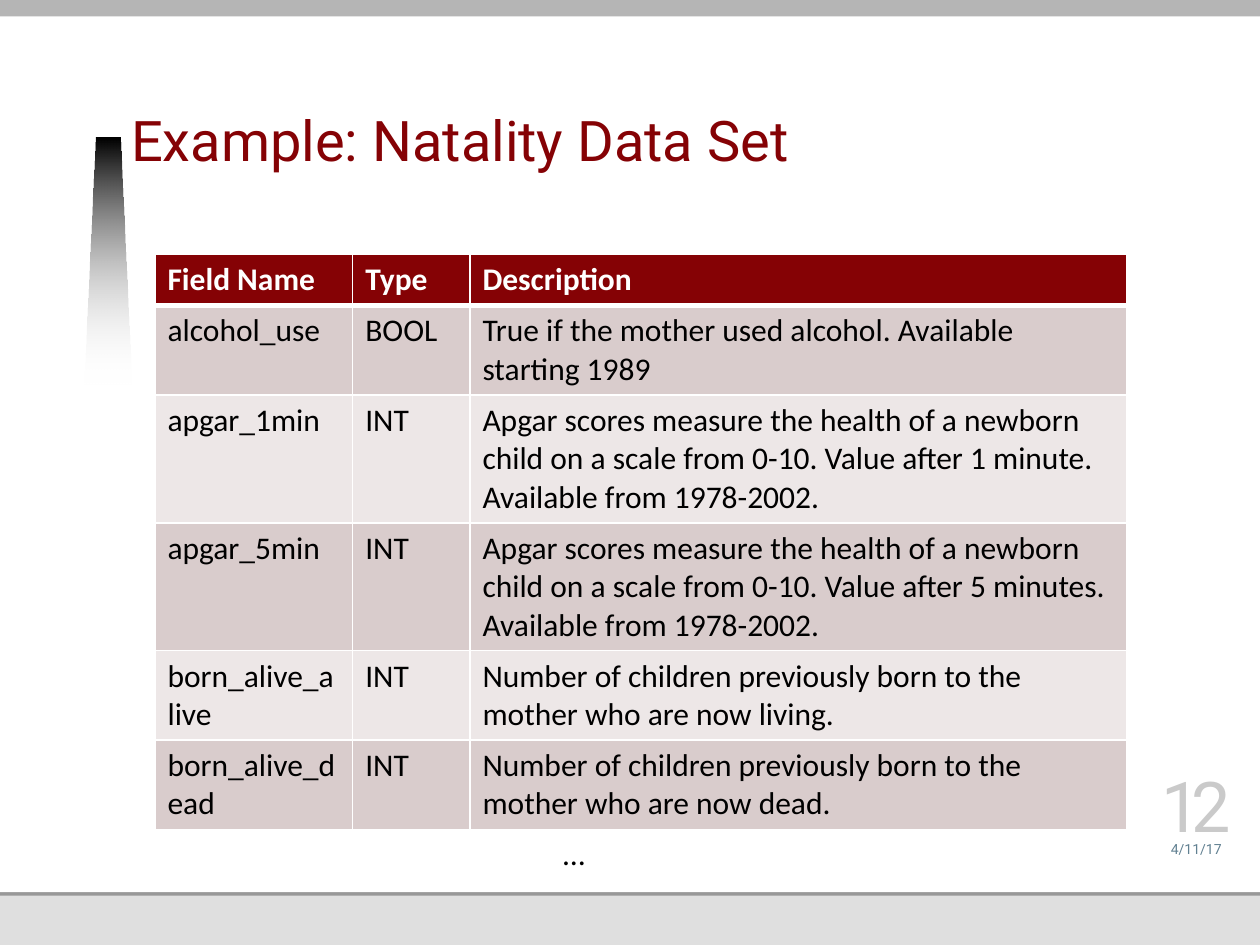
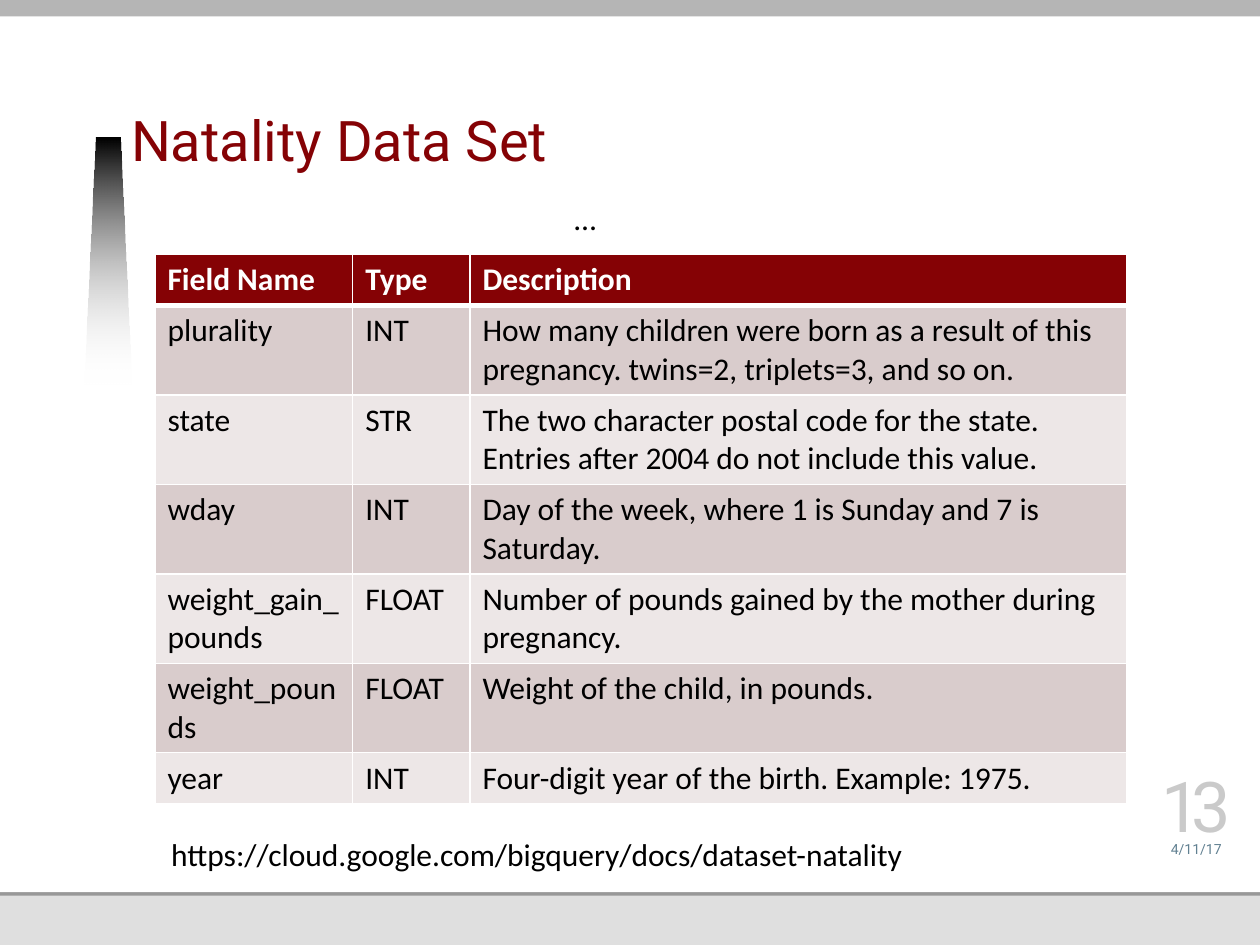
from dataclasses import dataclass

from lxml.etree import SubElement
from pptx import Presentation
from pptx.dml.color import RGBColor
from pptx.enum.shapes import MSO_SHAPE
from pptx.enum.text import MSO_ANCHOR, PP_ALIGN
from pptx.oxml.ns import qn
from pptx.util import Inches, Pt


@dataclass(frozen=True)
class Theme:
    maroon: str = "850205"
    white: str = "FFFFFF"
    black: str = "000000"
    row_odd: str = "D9CCCC"
    row_even: str = "EDE7E7"
    top_band: str = "B5B5B5"
    footer_rule: str = "989898"
    footer_band: str = "DFDFDF"
    date: str = "618091"
    number: str = "CACACA"
    heading_font: str = "Roboto"
    body_font: str = "Calibri"
    title_size: int = 32
    body_size: int = 18
    number_size: int = 40
    date_size: int = 8


THEME = Theme()
HEADER = ("Field Name", "Type", "Description")
COLUMN_WIDTHS = (1.57, 0.93, 5.21)
DATE = "4/11/17"

FIRST_FIELDS = [
    ("alcohol_use", "BOOL",
     "True if the mother used alcohol. Available starting 1989"),
    ("apgar_1min", "INT",
     "Apgar scores measure the health of a newborn child on a scale from 0-10. "
     "Value after 1 minute. Available from 1978-2002."),
    ("apgar_5min", "INT",
     "Apgar scores measure the health of a newborn child on a scale from 0-10. "
     "Value after 5 minutes. Available from 1978-2002."),
    ("born_alive_alive", "INT",
     "Number of children previously born to the mother who are now living."),
    ("born_alive_dead", "INT",
     "Number of children previously born to the mother who are now dead."),
]
FIRST_LINE_COUNTS = (1, 2, 3, 3, 2, 2)
LAST_FIELDS = [
    ("plurality", "INT",
     "How many children were born as a result of this pregnancy. "
     "twins=2, triplets=3, and so on."),
    ("state", "STR",
     "The two character postal code for the state. "
     "Entries after 2004 do not include this value."),
    ("wday", "INT", "Day of the week, where 1 is Sunday and 7 is Saturday."),
    ("weight_gain_pounds", "FLOAT",
     "Number of pounds gained by the mother during pregnancy."),
    ("weight_pounds", "FLOAT", "Weight of the child, in pounds."),
    ("year", "INT", "Four-digit year of the birth. Example: 1975."),
]
LAST_LINE_COUNTS = (1, 2, 2, 2, 2, 2, 1)


def rgb(color):
    return RGBColor.from_string(color)


def row_height(lines):
    return Inches(0.1 + 0.61 * lines / 2)


def write(frame, text, font=THEME.body_font, size=THEME.body_size,
          color=THEME.black, bold=False, align=PP_ALIGN.LEFT,
          line_spacing=None, tracking=None):
    paragraph = frame.paragraphs[0]
    paragraph.alignment = align
    if line_spacing:
        paragraph.line_spacing = Pt(line_spacing)
    run = paragraph.add_run()
    run.text = text
    run.font.name = font
    run.font.size = Pt(size)
    run.font.bold = bold
    run.font.color.rgb = rgb(color)
    if tracking:
        run.font._element.set("spc", str(tracking * 100))


def add_text(slide, text, left, top, width, height, wrap=True,
             anchor=MSO_ANCHOR.TOP, margins=None, **style):
    box = slide.shapes.add_textbox(
        Inches(left), Inches(top), Inches(width), Inches(height))
    frame = box.text_frame
    frame.word_wrap = wrap
    frame.vertical_anchor = anchor
    if margins:
        (frame.margin_left, frame.margin_top, frame.margin_right,
         frame.margin_bottom) = map(Inches, margins)
    write(frame, text, **style)


def add_band(slide, top, bottom, color):
    band = slide.shapes.add_shape(
        MSO_SHAPE.RECTANGLE, 0, Inches(top), Inches(10), Inches(bottom - top))
    band.shadow.inherit = False
    band.fill.solid()
    band.fill.fore_color.rgb = rgb(color)
    band.line.fill.background()


def add_fading_wedge(slide):
    outline = slide.shapes.build_freeform(
        Inches(0.67), Inches(3.05), scale=1.0)
    corners = [(0.76, 1.09), (0.95, 1.09), (1.04, 3.05)]
    outline.add_line_segments(
        [(Inches(x), Inches(y)) for x, y in corners], close=True)
    wedge = outline.convert_to_shape()
    wedge.shadow.inherit = False
    wedge.line.fill.background()
    wedge.fill.gradient()
    wedge.fill.gradient_angle = 270
    for stop, color in zip(wedge.fill.gradient_stops,
                           (THEME.black, THEME.white)):
        stop.color.rgb = rgb(color)
    faded = wedge._element.spPr.findall(".//" + qn("a:srgbClr"))[-1]
    SubElement(faded, qn("a:alpha"), val="0")


def set_borders(cell, top, bottom):
    properties = cell._tc.get_or_add_tcPr()
    for side, width in (("L", 1), ("R", 1), ("T", top), ("B", bottom)):
        line = SubElement(properties, qn(f"a:ln{side}"), w=str(Pt(width)))
        fill = SubElement(line, qn("a:solidFill"))
        SubElement(fill, qn("a:srgbClr"), val=THEME.white)


def add_field_table(slide, fields, line_counts):
    records = [HEADER, *fields]
    heights = [row_height(lines) for lines in line_counts]
    table = slide.shapes.add_table(
        len(records), len(HEADER), Inches(1.23), Inches(2.02),
        Inches(sum(COLUMN_WIDTHS)), sum(heights)).table
    for column, width in zip(table.columns, COLUMN_WIDTHS):
        column.width = Inches(width)
    for index, (record, height) in enumerate(zip(records, heights)):
        table.rows[index].height = height
        is_header = index == 0
        if is_header:
            background = THEME.maroon
        else:
            background = THEME.row_odd if index % 2 else THEME.row_even
        for column, text in enumerate(record):
            cell = table.cell(index, column)
            set_borders(cell, top=3 if index == 1 else 1,
                        bottom=3 if is_header else 1)
            cell.fill.solid()
            cell.fill.fore_color.rgb = rgb(background)
            write(cell.text_frame, text, bold=is_header,
                  color=THEME.white if is_header else THEME.black)


def add_footer(slide, number):
    style = dict(anchor=MSO_ANCHOR.BOTTOM, margins=(0, 0, 0, 0),
                 font=THEME.heading_font, align=PP_ALIGN.CENTER)
    add_text(slide, DATE, 9.13, 6.58, 0.73, 0.22,
             size=THEME.date_size, color=THEME.date, **style)
    add_text(slide, str(number), 9.13, 6.16, 0.73, 0.56,
             size=THEME.number_size, color=THEME.number, tracking=-5, **style)


def add_field_slide(deck, title, number, fields, line_counts):
    slide = deck.slides.add_slide(deck.slide_layouts[6])
    slide.background.fill.solid()
    slide.background.fill.fore_color.rgb = rgb(THEME.white)
    add_band(slide, 0, 7.5, THEME.footer_band)
    add_band(slide, 1.78, 7.11, THEME.footer_rule)
    add_band(slide, 0, 7.08, THEME.white)
    add_band(slide, 0, 0.13, THEME.top_band)
    add_fading_wedge(slide)
    add_text(slide, title, 1.04, 0.34, 6.87, 1.08,
             anchor=MSO_ANCHOR.BOTTOM, margins=(0, 0, 0, 0.05),
             font=THEME.heading_font, size=THEME.title_size,
             color=THEME.maroon, line_spacing=34)
    add_field_table(slide, fields, line_counts)
    add_footer(slide, number)
    return slide


def main():
    deck = Presentation()
    deck.slide_width = Inches(10)
    deck.slide_height = Inches(7.5)

    first = add_field_slide(deck, "Example: Natality Data Set", 12,
                            FIRST_FIELDS, FIRST_LINE_COUNTS)
    add_text(first, "…", 4.37, 6.57, 0.38, 0.4, wrap=False)

    last = add_field_slide(deck, "Natality Data Set", 13,
                           LAST_FIELDS, LAST_LINE_COUNTS)
    add_text(last, "…", 4.46, 1.53, 0.38, 0.4, wrap=False)
    add_text(last, "https://cloud.google.com/bigquery/docs/dataset-natality",
             1.26, 6.58, 6.09, 0.4, wrap=False)

    deck.save("out.pptx")


if __name__ == "__main__":
    main()
